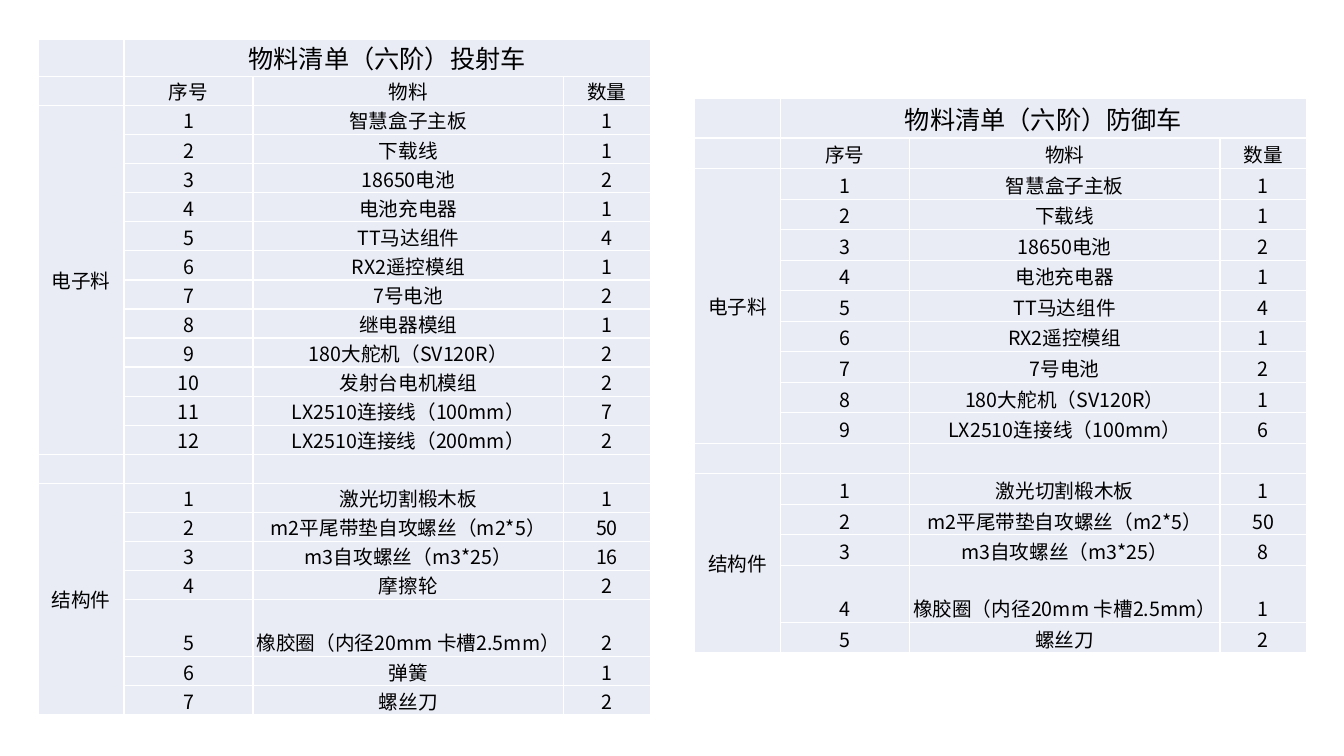
from lxml import etree
from pptx import Presentation
from pptx.dml.color import RGBColor
from pptx.enum.text import MSO_ANCHOR, PP_ALIGN
from pptx.oxml.ns import qn
from pptx.util import Inches, Pt

MIDDLE, BOTTOM = MSO_ANCHOR.MIDDLE, MSO_ANCHOR.BOTTOM
CENTER = PP_ALIGN.CENTER

COLUMN_WIDTHS = (0.85, 1.28, 3.08, 0.86)
HEADINGS = ("序号", "物料", "数量")

LAUNCHER_PARTS = {
    "电子料": [
        ("智慧盒子主板", 1), ("下载线", 1), ("18650电池", 2), ("电池充电器", 1),
        ("TT马达组件", 4), ("RX2遥控模组", 1), ("7号电池", 2), ("继电器模组", 1),
        ("180大舵机（SV120R）", 2), ("发射台电机模组", 2),
        ("LX2510连接线（100mm）", 7), ("LX2510连接线（200mm）", 2),
    ],
    "结构件": [
        ("激光切割椴木板", 1), ("m2平尾带垫自攻螺丝（m2*5）", 50),
        ("m3自攻螺丝（m3*25）", 16), ("摩擦轮", 2),
        ("橡胶圈（内径20mm 卡槽2.5mm）", 2), ("弹簧", 1), ("螺丝刀", 2),
    ],
}
DEFENDER_PARTS = {
    "电子料": [
        ("智慧盒子主板", 1), ("下载线", 1), ("18650电池", 2), ("电池充电器", 1),
        ("TT马达组件", 4), ("RX2遥控模组", 1), ("7号电池", 2),
        ("180大舵机（SV120R）", 1), ("LX2510连接线（100mm）", 6),
    ],
    "结构件": [
        ("激光切割椴木板", 1), ("m2平尾带垫自攻螺丝（m2*5）", 50),
        ("m3自攻螺丝（m3*25）", 8), ("橡胶圈（内径20mm 卡槽2.5mm）", 1),
        ("螺丝刀", 2),
    ],
}


def color(hex_value):
    """Return the colour for a hex string."""
    return RGBColor.from_string(hex_value)


def write(cell, text, size=14, anchor=BOTTOM, font="Noto Sans CJK SC", ink="000000"):
    """Write centred text into a cell."""
    cell.vertical_anchor = anchor
    paragraph = cell.text_frame.paragraphs[0]
    paragraph.alignment = CENTER
    run = paragraph.add_run()
    run.text = str(text)
    run.font.size = Pt(size)
    run.font.bold = False
    run.font.name = font
    run.font.color.rgb = color(ink)
    etree.SubElement(run.font._element, qn("a:ea"), typeface=font)


class PartsSlide:
    """Hold the style and the slide that carries the parts lists."""

    fill = "E9EBF5"
    border = "FFFFFF"
    border_width = 1
    text_size = 14
    title_size = 18

    def __init__(self, presentation):
        """Add a blank slide."""
        self.slide = presentation.slides.add_slide(presentation.slide_layouts[6])

    def style_cell(self, cell):
        """Give a cell its margins, borders, fill and empty-line size."""
        cell.margin_left = cell.margin_right = 0
        cell.margin_top = cell.margin_bottom = 0
        properties = cell._tc.get_or_add_tcPr()
        for side in ("lnL", "lnR", "lnT", "lnB"):
            line = etree.SubElement(
                properties, qn(f"a:{side}"), w=str(Pt(self.border_width)))
            paint = etree.SubElement(line, qn("a:solidFill"))
            etree.SubElement(paint, qn("a:srgbClr"), val=self.border)
        cell.fill.solid()
        cell.fill.fore_color.rgb = color(self.fill)
        if not cell.text:
            paragraph = cell.text_frame.paragraphs[0]
            etree.SubElement(
                paragraph._p, qn("a:endParaRPr"), sz=str(self.text_size * 100))

    def parts_list(self, title, groups, left, top, height, title_height):
        """Add a table of numbered parts, grouped with a blank row between."""
        row_count = 1 + sum(len(parts) + 1 for parts in groups.values())
        table = self.slide.shapes.add_table(
            row_count, len(COLUMN_WIDTHS), Inches(left), Inches(top),
            Inches(sum(COLUMN_WIDTHS)), Inches(height)).table
        table.first_row = table.horz_banding = False
        for column, width in zip(table.columns, COLUMN_WIDTHS):
            column.width = Inches(width)
        for row in table.rows:
            row.height = Inches((height - title_height) / (row_count - 1))
        table.rows[0].height = Inches(title_height)

        table.cell(0, 1).merge(table.cell(0, 3))
        write(table.cell(0, 1), title, size=self.title_size, anchor=MIDDLE)
        self.write_row(table, 1, HEADINGS)
        first = 2
        for group, parts in groups.items():
            table.cell(first, 0).merge(table.cell(first + len(parts) - 1, 0))
            write(table.cell(first, 0), group, size=self.text_size, anchor=MIDDLE)
            for number, (part, quantity) in enumerate(parts, 1):
                self.write_row(table, first + number - 1, (number, part, quantity))
            first += len(parts) + 1
        for cell in table.iter_cells():
            self.style_cell(cell)

    def write_row(self, table, row, values):
        """Write the number, part and quantity of a row."""
        for column, value in enumerate(values, 1):
            write(table.cell(row, column), value, size=self.text_size)


def main():
    """Build and save the slide."""
    presentation = Presentation()
    presentation.slide_width = Inches(13.33)
    presentation.slide_height = Inches(7.5)
    page = PartsSlide(presentation)
    page.parts_list("物料清单（六阶）投射车", LAUNCHER_PARTS,
                    left=0.38, top=0.39, height=6.43, title_height=0.37)
    page.parts_list("物料清单（六阶）防御车", DEFENDER_PARTS,
                    left=6.89, top=0.98, height=5.24, title_height=0.39)
    presentation.save("out.pptx")


if __name__ == "__main__":
    main()
